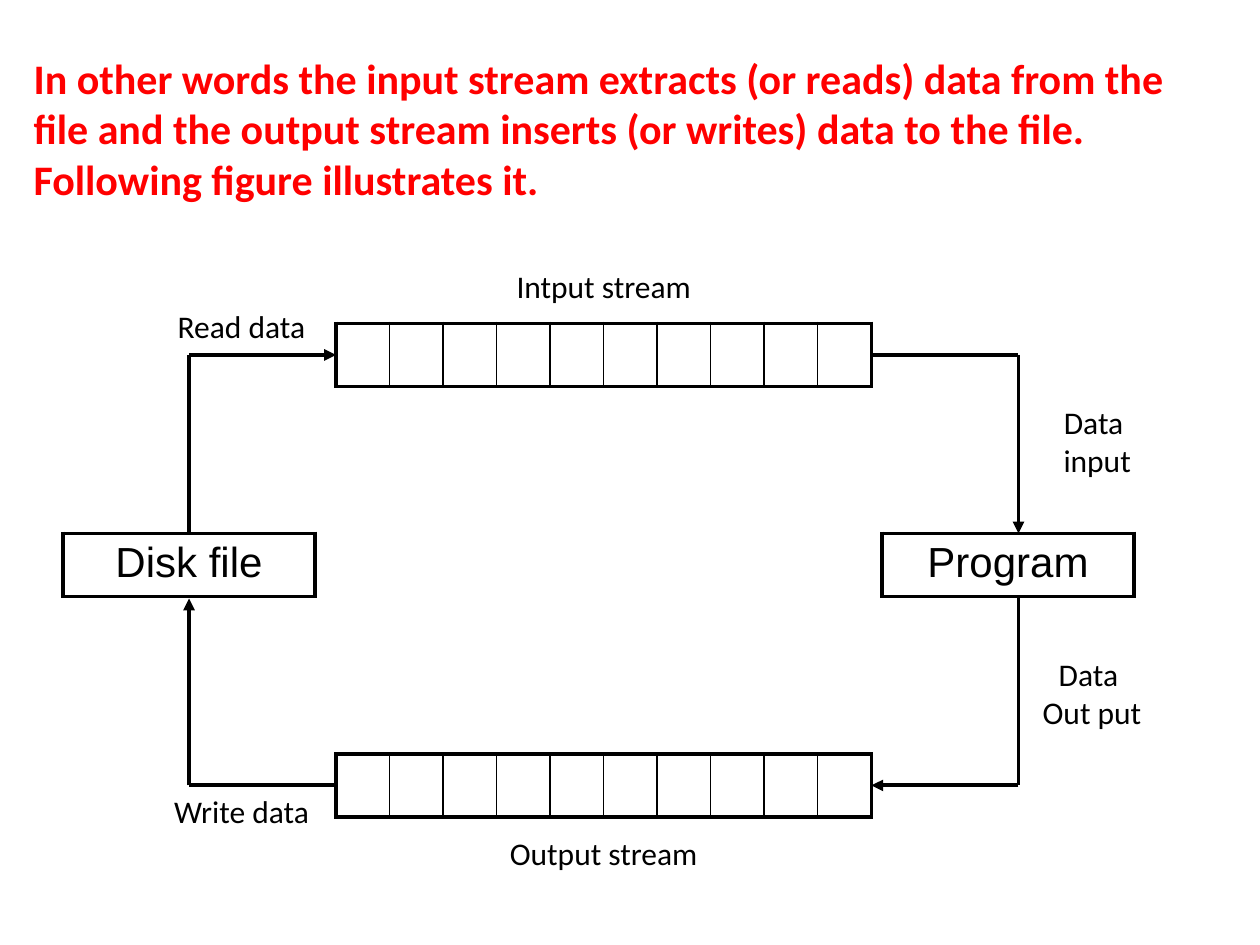
"""Draws how input and output streams link a disk file and a program."""
import dataclasses
import typing

import lxml.etree
import pptx
import pptx.dml.color
import pptx.enum.text
import pptx.oxml.ns
import pptx.util

WIDE, HIGH = pptx.util.Inches(10), pptx.util.Inches(7.5)
COLS, ROWS = 120, 90
INK = {"head": "FF0000", "text": "000000", "line": "000000"}
THICK, THIN = 2.25, 1
CENTER = pptx.enum.text.PP_ALIGN.CENTER
LEFT = pptx.enum.text.PP_ALIGN.LEFT


@dataclasses.dataclass
class Box:
    col: float
    row: float
    cols: float
    rows: float


@dataclasses.dataclass
class Label:
    box: Box
    lines: list[str]


@dataclasses.dataclass
class Strip:
    box: Box
    cells: list[str]


@dataclasses.dataclass
class Path:
    start: tuple[float, float]
    bend: tuple[float, float]
    end: tuple[float, float]


HEAD = Label(Box(2, 4.4, 116, 15.6), [
    "In other words the input stream extracts (or reads) data from the file and "
    "the output stream inserts (or writes) data to the file. "
    "Following figure illustrates it."])
STRIPS = [
    Strip(Box(32, 71.8, 51, 6), [""] * 10),
    Strip(Box(6, 50.8, 24, 6), ["Disk file"]),
    Strip(Box(32, 30.8, 51, 6), [""] * 10),
    Strip(Box(84, 50.8, 24, 6), ["Program"]),
]
PATHS = [
    Path((18, 50.8), (18, 33.8), (32, 33.8)),
    Path((32, 74.8), (18, 74.8), (18, 57)),
    Path((97, 56.8), (97, 74.8), (83, 74.8)),
    Path((83, 33.8), (97, 33.8), (97, 50.8)),
]
LABELS = [
    Label(Box(13, 28.6, 20, 5.2), ["Read data"]),
    Label(Box(13, 74.8, 20, 5.2), ["Write data"]),
    Label(Box(99, 37.8, 11, 9.2), ["Data ", "input"]),
    Label(Box(96, 61.8, 16, 9.2), ["Data ", "Out put"]),
    Label(Box(32, 78.8, 51, 5.2), ["Output stream"]),
    Label(Box(32, 24.8, 51, 5.2), ["Intput stream"]),
]


def across(col: float) -> int:
    """Turn grid columns into a length."""
    return round(WIDE * col / COLS)


def down(row: float) -> int:
    """Turn grid rows into a length."""
    return round(HIGH * row / ROWS)


def frame(box: Box) -> tuple[int, int, int, int]:
    """Give the left, top, width and height of a box."""
    return across(box.col), down(box.row), across(box.cols), down(box.rows)


def color(name: str) -> pptx.dml.color.RGBColor:
    """Look up a named colour."""
    return pptx.dml.color.RGBColor.from_string(INK[name])


def node(parent: typing.Any, tag: str, **attrs: str) -> typing.Any:
    """Append an XML child element."""
    return lxml.etree.SubElement(parent, pptx.oxml.ns.qn(tag), **attrs)


def write(frame: typing.Any, lines: list[str], size: float, font: str = "Calibri",
          ink: str = "text", bold: bool = False, align: typing.Any = CENTER) -> None:
    """Fill a text frame with one run per paragraph."""
    for spot, line in enumerate(lines):
        para = frame.add_paragraph() if spot else frame.paragraphs[0]
        para.alignment = align
        run = para.add_run()
        run.text = line
        run.font.name, run.font.size, run.font.bold = font, pptx.util.Pt(size), bold
        run.font.color.rgb = color(ink)


def draw_head(slide: typing.Any, head: Label) -> None:
    """Place and fill the title."""
    title = slide.shapes.title
    title.left, title.top, title.width, title.height = frame(head.box)
    text = title.text_frame
    text.word_wrap = True
    text.auto_size = pptx.enum.text.MSO_AUTO_SIZE.NONE
    text.vertical_anchor = pptx.enum.text.MSO_ANCHOR.TOP
    write(text, head.lines, 24, ink="head", bold=True, align=LEFT)


def draw_label(slide: typing.Any, label: Label) -> None:
    """Add a centred caption."""
    text = slide.shapes.add_textbox(*frame(label.box)).text_frame
    text.word_wrap = True
    write(text, label.lines, 18)


def edge(cell: typing.Any, side: str, width: float) -> None:
    """Draw one border of a cell."""
    line = node(cell._tc.get_or_add_tcPr(), f"a:ln{side}", w=str(pptx.util.Pt(width)))
    node(node(line, "a:solidFill"), "a:srgbClr", val=INK["line"])


def draw_strip(slide: typing.Any, strip: Strip) -> None:
    """Add a one-row table with a thick outline and thin dividers."""
    count = len(strip.cells)
    table = slide.shapes.add_table(1, count, *frame(strip.box)).table
    table.first_row = table.horz_banding = False
    for spot, word in enumerate(strip.cells):
        cell = table.cell(0, spot)
        edge(cell, "L", THIN if spot else THICK)
        edge(cell, "R", THIN if spot < count - 1 else THICK)
        edge(cell, "T", THICK)
        edge(cell, "B", THICK)
        cell.fill.background()
        if word:
            write(cell.text_frame, [word], 24, font="Arial")


def draw_line(slide: typing.Any, start: tuple[float, float],
              end: tuple[float, float], arrow: bool) -> None:
    """Add a straight line, with an arrowhead at its end if asked."""
    link = slide.shapes.add_connector(
        pptx.enum.shapes.MSO_CONNECTOR.STRAIGHT,
        across(start[0]), down(start[1]), across(end[0]), down(end[1]))
    link.line.color.rgb = color("line")
    link.line.width = pptx.util.Pt(THICK)
    if arrow:
        node(link.line._get_or_add_ln(), "a:tailEnd", type="triangle")
    node(link._element.spPr, "a:effectLst")


def main() -> None:
    """Build and save the slide."""
    deck = pptx.Presentation()
    deck.slide_width, deck.slide_height = WIDE, HIGH
    slide = deck.slides.add_slide(deck.slide_layouts.get_by_name("Title Only"))
    draw_head(slide, HEAD)
    for strip in STRIPS:
        draw_strip(slide, strip)
    for way in PATHS:
        draw_line(slide, way.start, way.bend, False)
        draw_line(slide, way.bend, way.end, True)
    for label in LABELS:
        draw_label(slide, label)
    deck.save("out.pptx")


if __name__ == "__main__":
    main()
